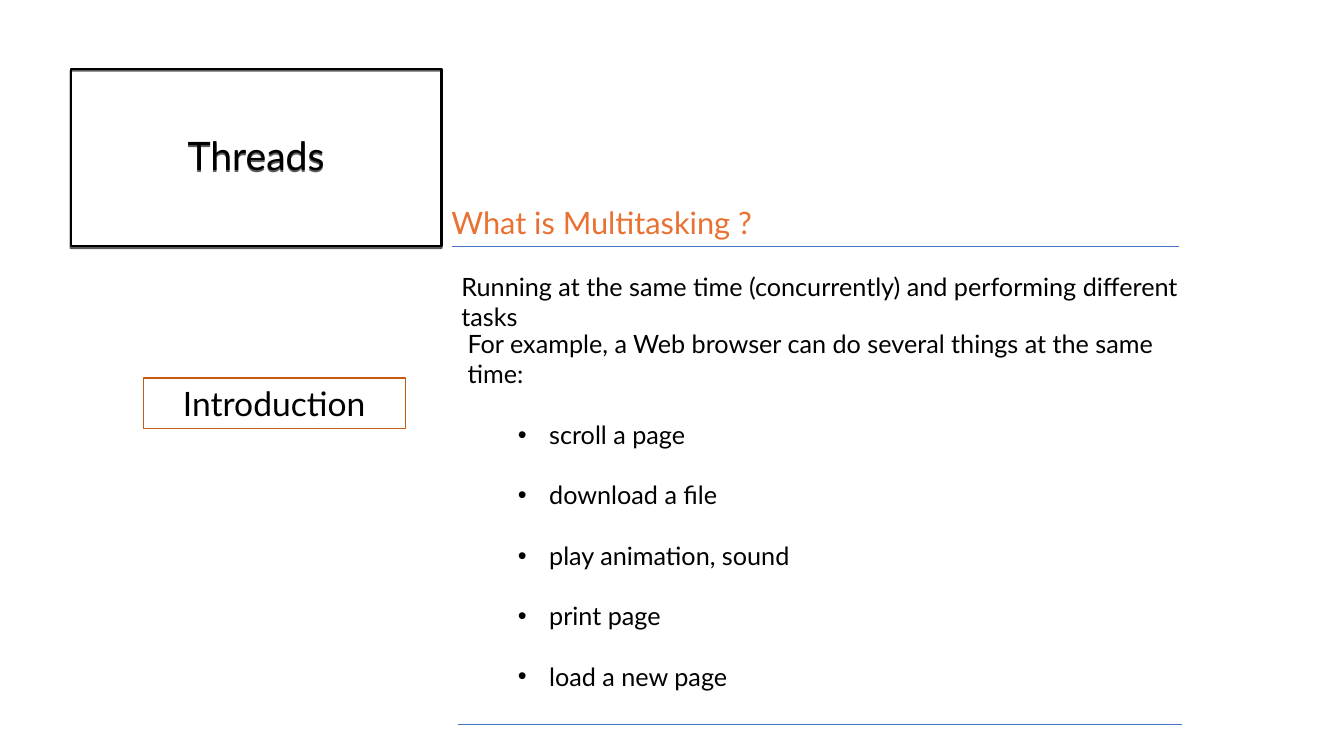
"""Build the Threads slide that introduces multitasking."""
import dataclasses

import lxml.etree
import pptx
import pptx.dml.color
import pptx.enum.shapes
import pptx.enum.text
import pptx.oxml.ns
import pptx.util

TITLE = "Threads"
SECTION = "Introduction"
HEADING = "What is Multitasking ?"
DEFINITION = "Running at the same time (concurrently) and performing different tasks"
EXAMPLE = "For example, a Web browser can do several things at the same time:"
TASKS = ["scroll a page", "download a file", "play animation, sound", "print page", "load a new page"]

# Percent of slide width and height: left, top, width, height.
AREAS = {
    "title": (5.25, 9.07, 27.6, 23.47),
    "section": (10.65, 50, 19.5, 6.67),
    "heading": (32.85, 26.27, 50.03, 6.27),
    "definition": (33.6, 35.2, 54.9, 5.33),
    "example": (34.05, 42.8, 56.85, 45.73),
}
RULES = [(33.6, 87.75, 32.53), (34.05, 87.98, 95.87)]


@dataclasses.dataclass(frozen=True)
class Theme:
    font: str = "Lato"
    ink: str = "000000"
    accent: str = "E97132"
    border: str = "C55A11"
    rule: str = "4472C4"
    title: int = 28
    section: int = 24
    heading: int = 22
    body: int = 18
    task_gap: float = 21.6


THEME = Theme()
CENTER = pptx.enum.text.PP_ALIGN.CENTER


def color(value):
    return pptx.dml.color.RGBColor.from_string(value)


def across(deck, share):
    return round(deck.slide_width * share / 100)


def down(deck, share):
    return round(deck.slide_height * share / 100)


def place(deck, name):
    left, top, width, height = AREAS[name]
    return across(deck, left), down(deck, top), across(deck, width), down(deck, height)


def add_child(parent, tag, **attributes):
    child = lxml.etree.SubElement(parent, pptx.oxml.ns.qn(tag))
    for key, value in attributes.items():
        child.set(key, str(value))
    return child


def style(para, size, ink=THEME.ink):
    para.font.name = THEME.font
    para.font.size = pptx.util.Pt(size)
    para.font.color.rgb = color(ink)


def add_frame(deck, page, name, text, size, border, weight):
    box = page.shapes.add_shape(pptx.enum.shapes.MSO_SHAPE.RECTANGLE, *place(deck, name))
    box.shadow.inherit = False
    box.fill.background()
    box.line.color.rgb = color(border)
    box.line.width = pptx.util.Pt(weight)
    box.text_frame.text = text
    para = box.text_frame.paragraphs[0]
    para.alignment = CENTER
    style(para, size)
    return box


def add_text(deck, page, name, text, size, ink=THEME.ink):
    frame = page.shapes.add_textbox(*place(deck, name)).text_frame
    frame.word_wrap = True
    frame.text = text
    style(frame.paragraphs[0], size, ink)
    return frame


def add_drop_shadow(box):
    effects = box._element.spPr.find(pptx.oxml.ns.qn("a:effectLst"))
    shadow = add_child(effects, "a:outerShdw", blurRad=0, dist=pptx.util.Pt(1.5),
                       dir=90 * 60000, algn="ctr", rotWithShape=0)
    add_child(add_child(shadow, "a:srgbClr", val=THEME.ink), "a:alpha", val=63000)


def add_task(frame, text):
    para = frame.add_paragraph()
    para.text = text
    para.level = 1
    properties = para._p.get_or_add_pPr()
    properties.set("marL", str(pptx.util.Inches(0.81)))
    properties.set("indent", str(pptx.util.Inches(-0.31)))
    add_child(properties, "a:buFont", typeface="Arial")
    add_child(properties, "a:buChar", char="•")
    para.space_before = pptx.util.Pt(THEME.task_gap)
    style(para, THEME.body)


def add_rule(deck, page, start, end, height):
    level = down(deck, height)
    rule = page.shapes.add_connector(pptx.enum.shapes.MSO_CONNECTOR.STRAIGHT,
                                     across(deck, start), level, across(deck, end), level)
    rule.line.color.rgb = color(THEME.rule)
    rule.line.width = pptx.util.Pt(0.5)
    add_child(rule._element.spPr, "a:effectLst")


def main():
    deck = pptx.Presentation()
    deck.slide_width = pptx.util.Inches(13.33)
    deck.slide_height = pptx.util.Inches(7.5)
    page = deck.slides.add_slide(deck.slide_layouts[6])

    title = add_frame(deck, page, "title", TITLE, THEME.title, THEME.ink, 1.5)
    title.text_frame.paragraphs[0].line_spacing = 0.9
    add_drop_shadow(title)
    for rule in RULES:
        add_rule(deck, page, *rule)
    add_frame(deck, page, "section", SECTION, THEME.section, THEME.border, 0.75)
    add_text(deck, page, "heading", HEADING, THEME.heading, THEME.accent)
    add_text(deck, page, "definition", DEFINITION, THEME.body)
    example = add_text(deck, page, "example", EXAMPLE, THEME.body)
    for task in TASKS:
        add_task(example, task)
    deck.save("out.pptx")


if __name__ == "__main__":
    main()
